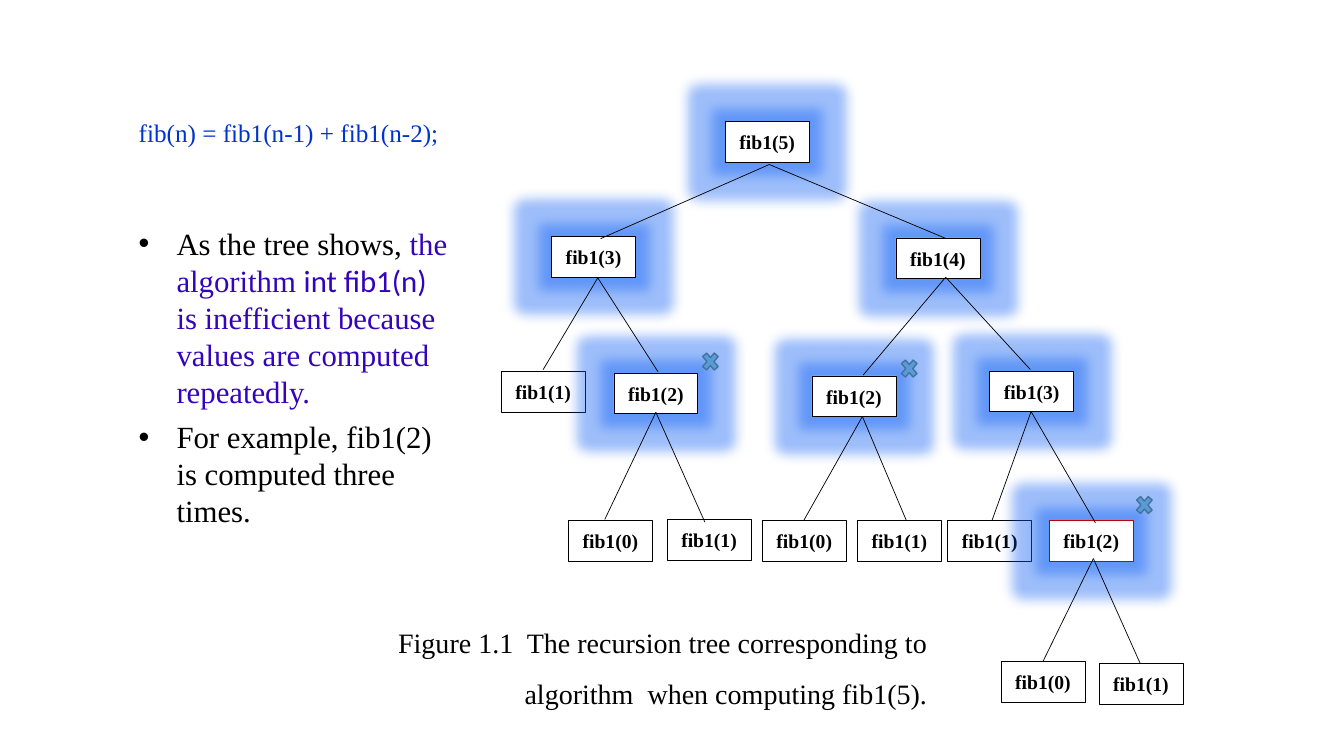
from lxml.etree import SubElement as Sub
from pptx import Presentation
from pptx.dml.color import RGBColor
from pptx.enum.shapes import MSO_CONNECTOR as Conn, MSO_SHAPE as Kind
from pptx.enum.text import MSO_ANCHOR as Anchor, PP_ALIGN as Align
from pptx.oxml.ns import qn
from pptx.util import Pt

SERIF = "Times New Roman"
BLACK, WHITE, RED = "000000", "FFFFFF", "C00000"
VIOLET, NAVY, GLOW = "3404BC", "0033CC", "0A5CF5"
BOX_W, BOX_H = 60, 29

# Calls of fib1: argument, left, top, outline
NODES = [
    (5, 518, 87, BLACK),
    (3, 394, 169, BLACK), (4, 640, 170, BLACK),
    (1, 358, 265.5, BLACK), (2, 438.5, 266.5, BLACK), (0, 406, 372, BLACK),
    (2, 580, 268.5, BLACK), (3, 707, 265, BLACK),
    (1, 476.5, 371, BLACK), (0, 544.5, 372, BLACK), (1, 612.5, 372, BLACK),
    (1, 677, 372, BLACK), (2, 749.5, 372, RED),
    (0, 715, 472.5, BLACK), (1, 785, 474, BLACK),
]

# Foot of each parent, then the heads of its two children
FORKS = [
    ((549.5, 117.5), (429, 170.5), (676, 170.5)),
    ((675.5, 198), (616.5, 268), (736, 264)),
    ((427, 198.5), (388, 264), (470, 265.5)),
    ((468.5, 294.5), (432, 371), (503.5, 373)),
    ((616, 297.5), (574, 372), (647.5, 372)),
    ((736.5, 294), (708.5, 372), (782.5, 373.5)),
    ((781, 399), (745, 472.5), (814.5, 474)),
]

# Crosses beside the repeated calls
MARKS = [(641.5, 254), (809.5, 351.5), (499.5, 249)]


def color(code):
    return RGBColor.from_string(code)


def add_run(para, text, size, code, font=SERIF, bold=False):
    run = para.add_run()
    run.text = text
    run.font.size, run.font.name, run.font.bold = Pt(size), font, bold
    run.font.color.rgb = color(code)


def add_form(slide, kind, left, top, width, height, fill, edge, weight):
    form = slide.shapes.add_shape(kind, Pt(left), Pt(top), Pt(width), Pt(height))
    form.shadow.inherit = False
    form.fill.solid()
    form.fill.fore_color.rgb = color(fill)
    form.line.color.rgb = color(edge)
    form.line.width = Pt(weight)
    return form


def add_glow(form):
    effects = form._element.spPr.find(qn("a:effectLst"))
    glow = Sub(effects, qn("a:glow"), rad=str(Pt(18)))
    tint = Sub(glow, qn("a:srgbClr"), val=GLOW)
    Sub(tint, qn("a:alpha"), val="40000")


def add_node(slide, num, left, top, edge):
    node = add_form(slide, Kind.RECTANGLE, left, top, BOX_W, BOX_H, WHITE, edge, 0.5)
    if num > 1:  # every call that recurses
        add_glow(node)
    frame = node.text_frame
    frame.word_wrap = False
    frame.vertical_anchor = Anchor.MIDDLE
    para = frame.paragraphs[0]
    para.alignment = Align.CENTER
    add_run(para, f"fib1({num})", 14, BLACK, bold=True)


def add_edge(slide, foot, head):
    edge = slide.shapes.add_connector(
        Conn.STRAIGHT, *(Pt(val) for val in foot + head))
    edge.line.color.rgb = color(BLACK)
    edge.line.width = Pt(0.5)
    Sub(edge._element.spPr, qn("a:effectLst"))


def add_text(slide, left, top, width, height):
    box = slide.shapes.add_textbox(Pt(left), Pt(top), Pt(width), Pt(height))
    box.text_frame.word_wrap = True
    return box.text_frame


def add_bullet(para):
    para.space_after = Pt(6)
    props = para._p.get_or_add_pPr()
    props.set("marL", str(Pt(27)))
    props.set("indent", str(Pt(-27)))
    Sub(props, qn("a:buFont"), typeface="Arial")
    Sub(props, qn("a:buChar"), char="•")


def main():
    deck = Presentation()
    deck.slide_width, deck.slide_height = Pt(960), Pt(540)
    slide = deck.slides.add_slide(deck.slide_layouts[6])

    # Recursion tree
    for node in NODES:
        add_node(slide, *node)
    for foot, *heads in FORKS:
        for head in heads:
            add_edge(slide, foot, head)

    # Caption
    para = add_text(slide, 219.5, 431.5, 450, 76).paragraphs[0]
    para.alignment = Align.RIGHT
    para.line_spacing = 1.5
    para.space_after = Pt(6)
    add_run(para, "Figure 1.1  The recursion tree corresponding to "
                  "algorithm  when computing fib1(5).", 20, BLACK)

    # Bullets
    frame = add_text(slide, 92, 157, 235, 227)
    first, second = frame.paragraphs[0], frame.add_paragraph()
    for para in (first, second):
        add_bullet(para)
    add_run(first, "As the tree shows, ", 22, BLACK)
    add_run(first, "the algorithm ", 22, VIOLET)
    add_run(first, "int fib1(n)  ", 22, VIOLET, "Calibri")
    add_run(first, "is inefficient because values are computed repeatedly.", 22, VIOLET)
    add_run(second, "For example, fib1(2) is computed three times.", 22, BLACK)

    # Crosses
    for left, top in MARKS:
        add_form(slide, Kind.MATH_MULTIPLY, left, top, 16, 18.5, "5B9BD5", "43739E", 1)

    # Formula
    para = add_text(slide, 92, 80.5, 244, 29).paragraphs[0]
    add_run(para, "fib(n) = fib1(n-1) + fib1(n-2);", 18, NAVY)

    deck.save("out.pptx")


if __name__ == "__main__":
    main()
